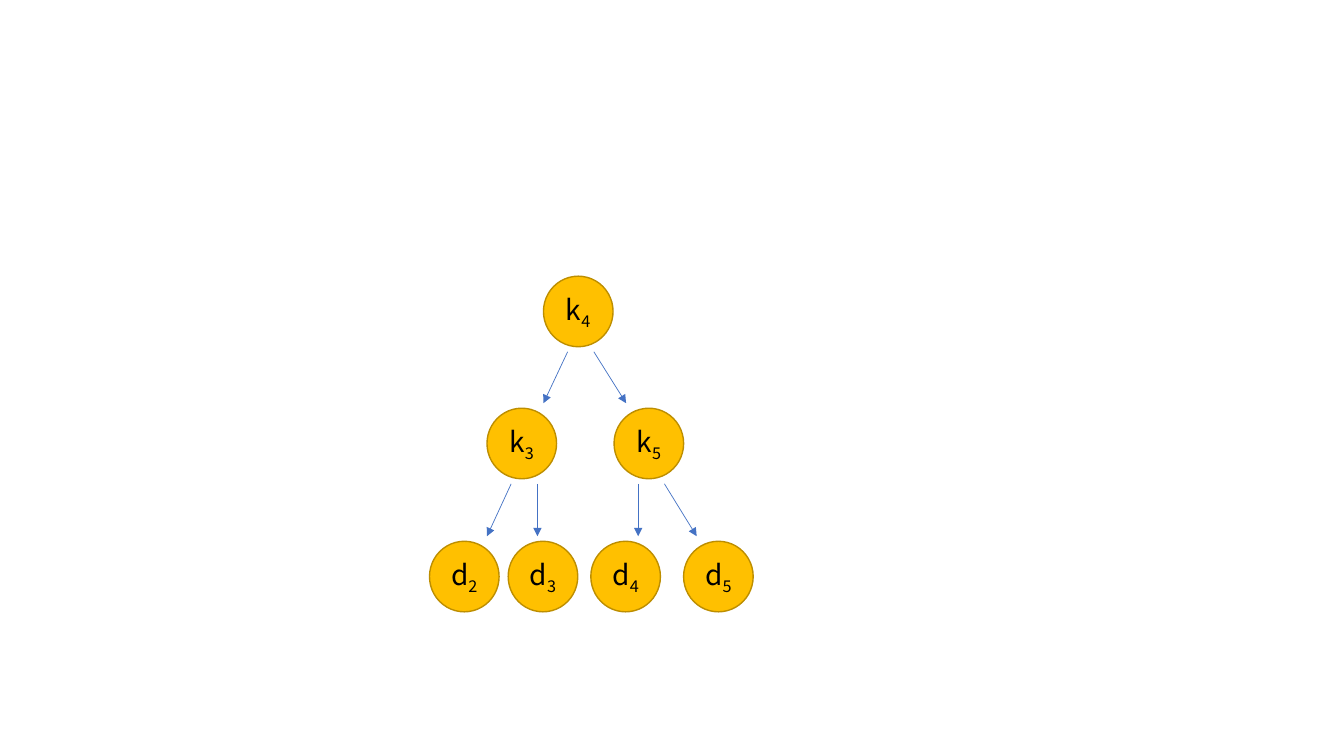
from lxml import etree
from pptx import Presentation
from pptx import util as u
from pptx.dml.color import RGBColor
from pptx.enum import shapes, text
from pptx.oxml import ns

COLORS = {"node": "FFC000", "outline": "BD8E00", "arrow": "4472C4", "label": "000000"}
FONT = {"name": "Noto Sans CJK KR", "size": u.Pt(20)}
FRAME = {"word_wrap": False, "vertical_anchor": text.MSO_ANCHOR.MIDDLE,
         "margin_left": 0, "margin_right": 0, "margin_top": 0, "margin_bottom": 0}
NODE_W, NODE_H = 0.69, 0.7
GAP = 0.05
LEVEL_TOPS = (0, 1.31, 2.63)
TAIL_X = {"left": 0.24, "right": 0.5}

# name: (level, left edge)
NODES = {"k4": (0, 1.13), "k3": (1, 0.57), "k5": (1, 1.83),
         "d2": (2, 0), "d3": (2, 0.78), "d4": (2, 1.6), "d5": (2, 2.52)}
# parent, side, child, arrow tip from the child's left edge
EDGES = [("k4", "left", "k3", 0.56), ("k4", "right", "k5", 0.12),
         ("k3", "left", "d2", 0.57), ("k3", "right", "d3", 0.29),
         ("k5", "left", "d4", 0.47), ("k5", "right", "d5", 0.13)]


def rgb(key):
    return RGBColor.from_string(COLORS[key])


def set_attrs(target, values):
    for key, value in values.items():
        setattr(target, key, value)


def add_node(s, name, left, top):
    sp = s.shapes.add_shape(shapes.MSO_SHAPE.OVAL, u.Inches(left), u.Inches(top),
                            u.Inches(NODE_W), u.Inches(NODE_H))
    sp.shadow.inherit = False
    sp.fill.solid()
    sp.fill.fore_color.rgb = rgb("node")
    sp.line.color.rgb = rgb("outline")
    sp.line.width = u.Pt(1)
    tf = sp.text_frame
    set_attrs(tf, FRAME)
    p = tf.paragraphs[0]
    p.alignment = text.PP_ALIGN.CENTER
    for char in name:
        r = p.add_run()
        r.text = char
        set_attrs(r.font, FONT)
        r.font.color.rgb = rgb("label")
    r.font._element.set("baseline", "-25000")


def add_arrow(s, start, end):
    line = s.shapes.add_connector(shapes.MSO_CONNECTOR.STRAIGHT,
                                  *(u.Inches(v) for v in start + end))
    line.line.color.rgb = rgb("arrow")
    line.line.width = u.Pt(0.5)
    etree.SubElement(line.line._get_or_add_ln(), ns.qn("a:tailEnd"), type="triangle")
    etree.SubElement(line._element.spPr, ns.qn("a:effectLst"))


def add_tree(s, left, top):
    places = {name: (left + x, top + LEVEL_TOPS[level])
              for name, (level, x) in NODES.items()}
    for name, place in places.items():
        add_node(s, name, *place)
    for parent, side, child, tip in EDGES:
        px, py = places[parent]
        cx, cy = places[child]
        add_arrow(s, (px + TAIL_X[side], py + NODE_H + GAP), (cx + tip, cy - GAP))


prs = Presentation()
prs.slide_width, prs.slide_height = u.Inches(13.33), u.Inches(7.5)
s = prs.slides.add_slide(prs.slide_layouts[6])
add_tree(s, 4.26, 2.74)
prs.save("out.pptx")
